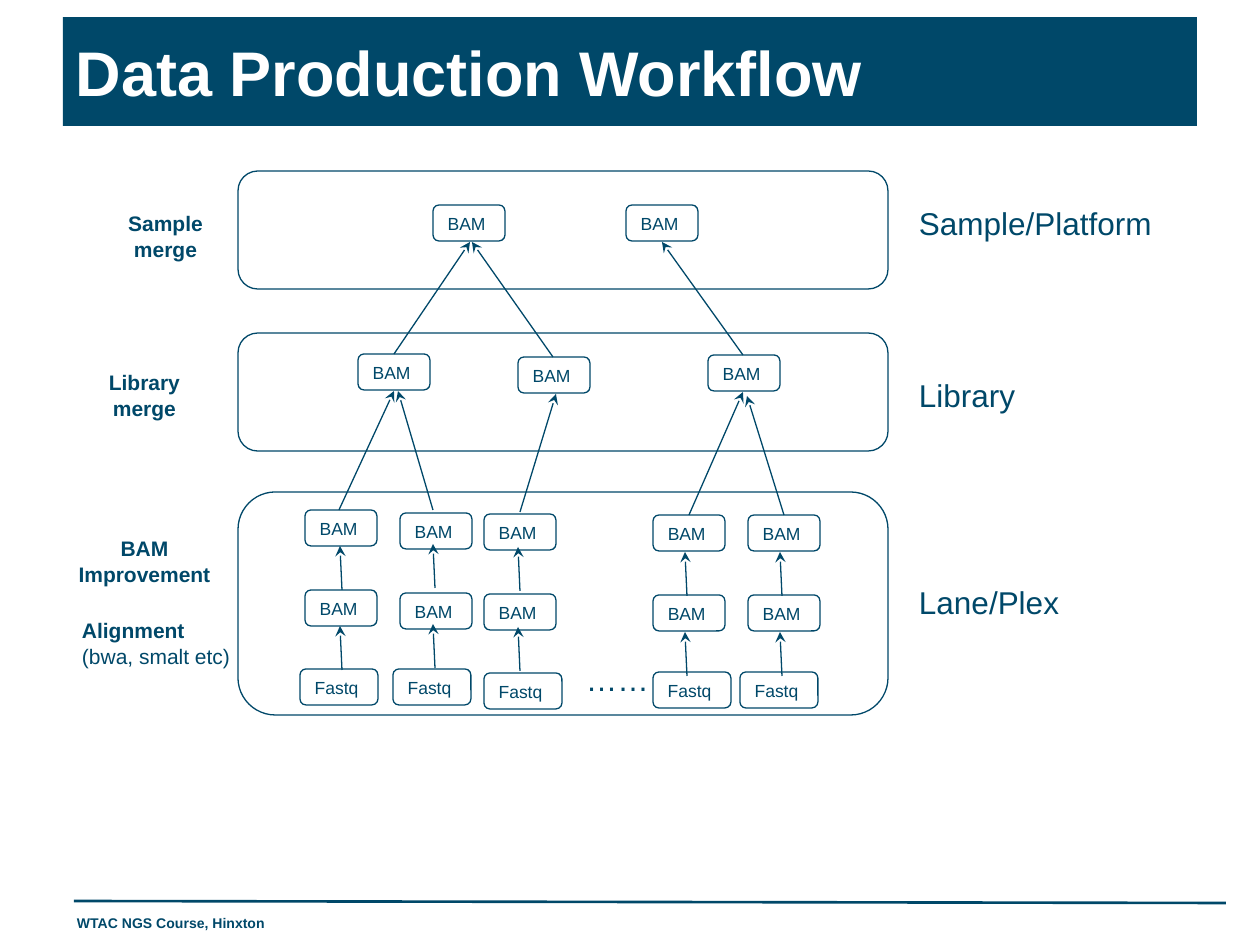
from lxml.etree import SubElement
from pptx import Presentation
from pptx.dml.color import RGBColor
from pptx.enum.shapes import MSO_CONNECTOR, MSO_SHAPE
from pptx.enum.text import MSO_ANCHOR, PP_ALIGN
from pptx.oxml.ns import qn
from pptx.util import Emu, Pt

COLORS = {"navy": "004869", "white": "FFFFFF"}
BAM_W, FASTQ_W, NODE_H, STEP = 72, 78, 36, 80


def px(n):
    """Turn pixels at 126 to the inch into EMU."""
    return Emu(round(n * 914400 / 126))


def rgb(name):
    """Look up a named colour."""
    return RGBColor.from_string(COLORS[name])


def write(sp, text, size=12, color="navy", bold=(False,), align=PP_ALIGN.LEFT,
          anchor=MSO_ANCHOR.TOP, inset=6):
    """Write text into a shape, one paragraph a line, with bold cycling by line."""
    tf = sp.text_frame
    tf.word_wrap = True
    tf.vertical_anchor = anchor
    tf.margin_left = tf.margin_right = px(13)
    tf.margin_top = tf.margin_bottom = px(inset)
    for i, line_text in enumerate(text.split("\n")):
        p = tf.paragraphs[0] if i == 0 else tf.add_paragraph()
        p.alignment = align
        r = p.add_run()
        r.text = line_text
        r.font.name = "Arial"
        r.font.size = Pt(size)
        r.font.bold = bold[i % len(bold)]
        r.font.color.rgb = rgb(color)


def label(s, x, y, w, h, text, **fmt):
    """Add a text box."""
    write(s.shapes.add_textbox(px(x), px(y), px(w), px(h)), text, **fmt)


def outline(s, x, y, w, h):
    """Add an unfilled rounded rectangle."""
    sp = s.shapes.add_shape(MSO_SHAPE.ROUNDED_RECTANGLE, px(x), px(y), px(w), px(h))
    sp.adjustments[0] = 0.167
    sp.shadow.inherit = False
    sp.fill.background()
    sp.line.color.rgb = rgb("navy")
    sp.line.width = Pt(0.75)
    return sp


def node(s, x, y, text="BAM", w=BAM_W):
    """Add a file box."""
    write(outline(s, x, y, w, NODE_H), text, size=10)


def line(s, x1, y1, x2, y2, width=0.75, arrow=True):
    """Add a straight line, with an arrowhead at its end if asked."""
    c = s.shapes.add_connector(MSO_CONNECTOR.STRAIGHT, px(x1), px(y1), px(x2), px(y2))
    c.line.color.rgb = rgb("navy")
    c.line.width = Pt(width)
    pr = c.element.spPr
    if arrow:
        SubElement(pr.get_or_add_ln(), qn("a:tailEnd"), type="stealth")
    SubElement(pr, qn("a:effectLst"))


def title(s, x, y, w, h, text):
    """Draw the title bar."""
    sp = s.shapes.add_shape(MSO_SHAPE.RECTANGLE, px(x), px(y), px(w), px(h))
    sp.shadow.inherit = False
    sp.fill.solid()
    sp.fill.fore_color.rgb = rgb("navy")
    sp.line.fill.background()
    write(sp, text, size=36, color="white", bold=(True,), anchor=MSO_ANCHOR.MIDDLE, inset=13)


def footer(s, x, y, w, text):
    """Draw the footer rule and its text."""
    line(s, x + 10, y, x + w, y + 2, width=1.5, arrow=False)
    label(s, x, y + 5, 726, 38, text, size=8, bold=(True,), inset=13)


def band(s, x, y, w, h, level, level_y, step, step_box):
    """Draw a stage frame with its level on the right and its step on the left."""
    outline(s, x, y, w, h)
    label(s, x + w + 18, y + level_y, 265, 50, level, size=18)
    dx, dy, step_w = step_box
    label(s, x + dx, y + dy, step_w, 63, step, bold=(True,), align=PP_ALIGN.CENTER)


def merge(s, x, y, nodes, arrows):
    """Draw merged files and the arrows that lead to them."""
    for dx, dy in nodes:
        node(s, x + dx, y + dy)
    for x1, y1, x2, y2 in arrows:
        line(s, x + x1, y + y1, x + x2, y + y2)


def lane(s, x, y, bam, fastq, tip):
    """Draw one lane: a Fastq file, two BAM files and the arrows between them."""
    node(s, x + fastq[0], y + fastq[1], "Fastq", FASTQ_W)
    for dy in (0, STEP):
        node(s, x + bam[0], y + bam[1] + dy)
        end_x, end_y = x + tip[0], y + tip[1] + dy
        line(s, end_x + 2, end_y + 44, end_x, end_y)


def sample_stage(s, x, y, w, h):
    """Draw the sample stage."""
    band(s, x, y, w, h, "Sample/Platform", 27, "Sample\nmerge", (-133, 34, 121))
    merge(s, x, y, [(195, 34), (388, 34)],
          [(156, 183, 232, 71), (315, 186, 234, 71), (505, 184, 424, 71)])


def library_stage(s, x, y, w, h):
    """Draw the library stage."""
    band(s, x, y, w, h, "Library", 37, "Library\nmerge", (-154, 31, 121))
    merge(s, x, y, [(120, 21), (280, 24), (470, 22)],
          [(101, 177, 156, 58), (195, 177, 160, 58), (282, 179, 318, 61),
           (451, 182, 505, 59), (546, 182, 509, 63)])


def lane_stage(s, x, y, w, h):
    """Draw the lane stage."""
    band(s, x, y, w, h, "Lane/Plex", 85, "BAM\nImprovement", (-179, 38, 171))
    label(s, x - 169, y + 120, 180, 63, "Alignment\n(bwa, smalt etc)", bold=(True, False))
    label(s, x + 335, y + 162, 89, 50, "……", size=18)
    for bam, fastq, tip in [
        ((67, 18), (62, 177), (102, 54)),
        ((162, 21), (155, 177), (195, 52)),
        ((246, 22), (246, 181), (280, 55)),
        ((415, 23), (415, 180), (447, 60)),
        ((510, 23), (502, 180), (542, 60)),
    ]:
        lane(s, x, y, bam, fastq, tip)


def main():
    """Build the slide."""
    prs = Presentation()
    prs.slide_width, prs.slide_height = px(1260), px(945)
    s = prs.slides.add_slide(prs.slide_layouts[6])
    footer(s, 64, 901, 1162, "WTAC NGS Course, Hinxton")
    title(s, 63, 17, 1134, 109, "Data Production Workflow")
    library_stage(s, 238, 333, 650, 118)
    lane_stage(s, 238, 492, 650, 223)
    sample_stage(s, 238, 171, 650, 118)
    prs.save("out.pptx")


if __name__ == "__main__":
    main()
